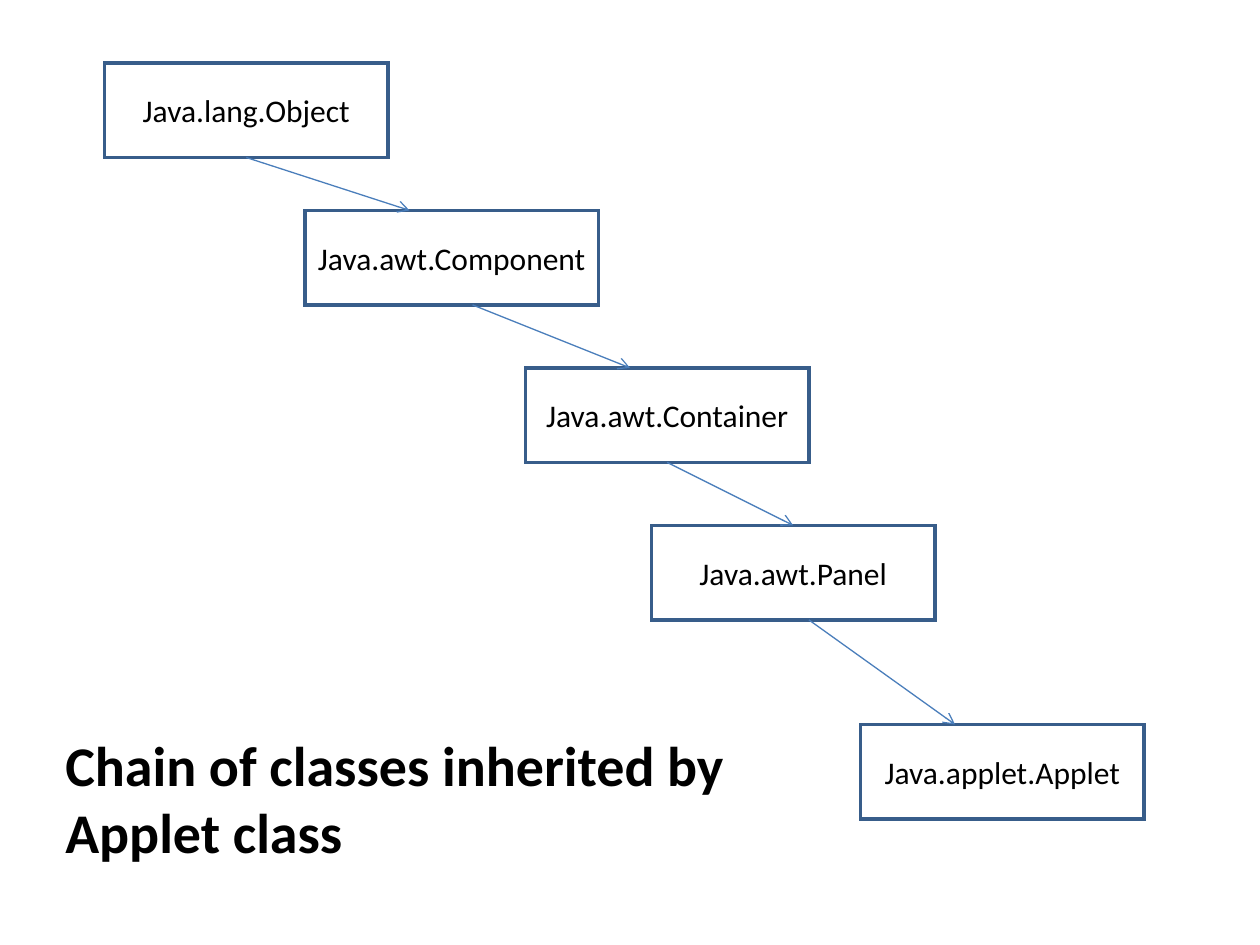
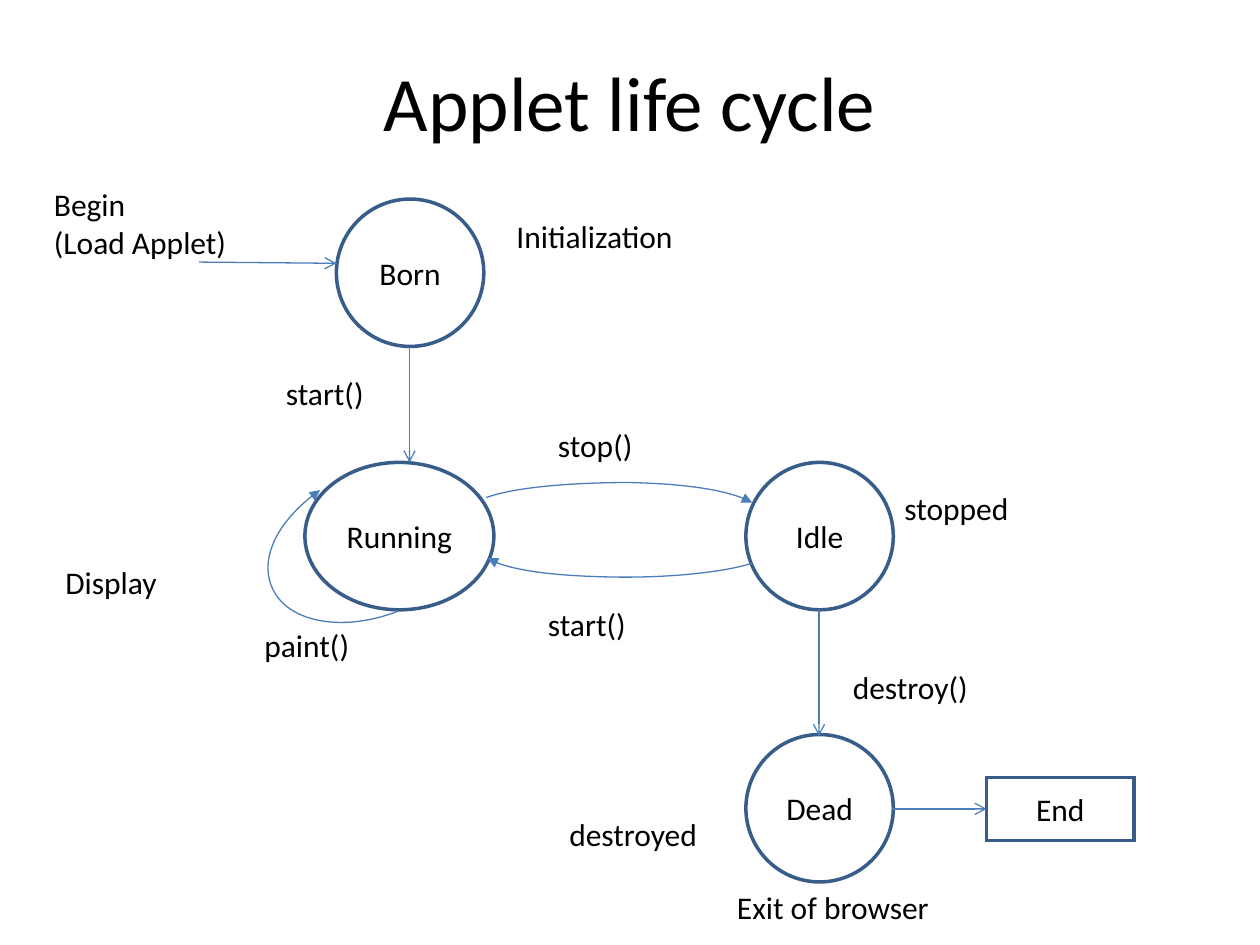
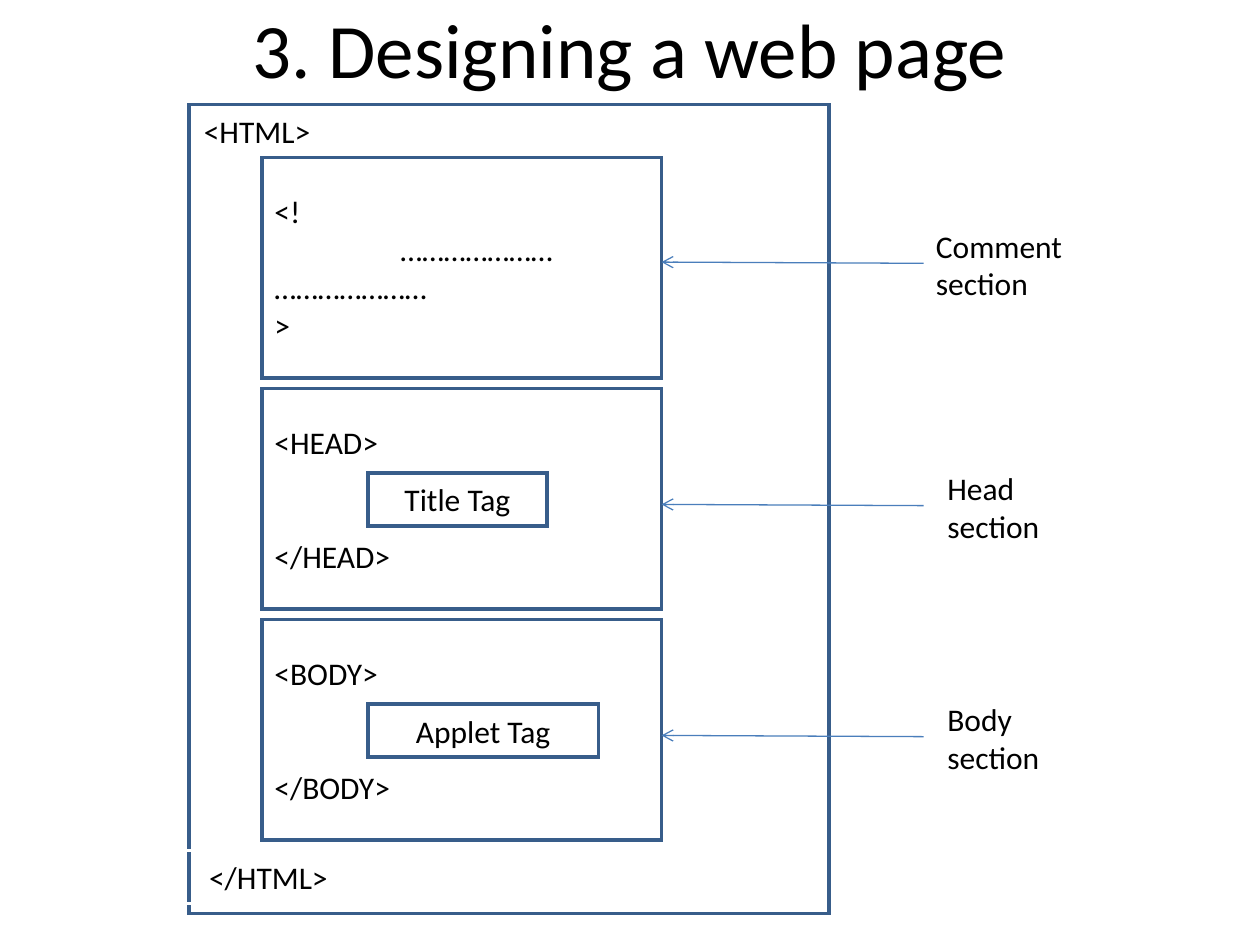
from lxml import etree
from pptx import Presentation
from pptx.dml.color import RGBColor
from pptx.enum.shapes import MSO_CONNECTOR, MSO_SHAPE
from pptx.enum.text import MSO_ANCHOR, PP_ALIGN
from pptx.oxml.ns import qn
from pptx.util import Inches, Pt

RECT, OVAL = MSO_SHAPE.RECTANGLE, MSO_SHAPE.OVAL
LINE = MSO_CONNECTOR.STRAIGHT
MIDDLE, TOP = MSO_ANCHOR.MIDDLE, MSO_ANCHOR.TOP
LEFT, CENTER = PP_ALIGN.LEFT, PP_ALIGN.CENTER
COLORS = {"text": "000000", "paper": "FFFFFF", "edge": "385D8A", "arrow": "4A7EBB"}
FONT = "Calibri"
BODY, HEADING, TITLE = 18, 32, 44
TOP_SIDE, LEFT_SIDE, BOTTOM_SIDE = 0, 1, 2


def color(name):
    return RGBColor.from_string(COLORS[name])


def write(shape, lines, size=BODY, align=LEFT, anchor=TOP, bold=False, gap=0):
    """Fill a shape with paragraphs; gap is the space in points before the last."""
    frame = shape.text_frame
    frame.word_wrap = True
    frame.vertical_anchor = anchor
    for i, line in enumerate(lines):
        para = frame.paragraphs[0] if i == 0 else frame.add_paragraph()
        para.text = line
        para.alignment = align
        if gap and i == len(lines) - 1:
            para.space_before = Pt(gap)
        if "\t" in line:
            tabs = etree.SubElement(para._p.get_or_add_pPr(), qn("a:tabLst"))
            for inch in (1, 2, 3):
                etree.SubElement(tabs, qn("a:tab"), pos=str(Inches(inch)), algn="l")
        font = para.font
        font.name, font.size, font.bold = FONT, Pt(size), bold
        font.color.rgb = color("text")


def label(slide, box, *lines, **style):
    write(slide.shapes.add_textbox(*map(Inches, box)), lines, **style)


def title(slide, top, text):
    label(slide, (0.5, top, 9, 1.25), text, size=TITLE, align=CENTER, anchor=MIDDLE)


def node(slide, box, *lines, kind=RECT, edge="edge", fill=None, align=CENTER, gap=0):
    shape = slide.shapes.add_shape(kind, *map(Inches, box))
    shape.shadow.inherit = False
    if fill:
        shape.fill.solid()
        shape.fill.fore_color.rgb = color(fill)
    else:
        shape.fill.background()
    shape.line.color.rgb = color(edge)
    shape.line.width = Pt(2)
    etree.SubElement(shape.line._get_or_add_ln(), qn("a:miter"), lim="800000")
    write(shape, lines, align=align, anchor=MIDDLE, gap=gap)
    return shape


def ink(shape, head):
    """Style an arrow's line and give its end an arrowhead."""
    shape.line.color.rgb = color("arrow")
    shape.line.width = Pt(0.75)
    etree.SubElement(shape.line._get_or_add_ln(), qn("a:tailEnd"), type=head)


def arrow(slide, start, end):
    link = slide.shapes.add_connector(LINE, *map(Inches, (*start, *end)))
    ink(link, "arrow")
    etree.SubElement(link._element.spPr, qn("a:effectLst"))
    return link


def curve(slide, x, y, points):
    """Draw cubic curves joined end to end, ending in an arrowhead."""
    points = [(Inches(x + dx), Inches(y + dy)) for dx, dy in points]
    pen = slide.shapes.build_freeform(*points[0])
    pen.add_line_segments(points[1:], close=False)
    shape = pen.convert_to_shape()
    # Each three line segments become one cubic curve
    lines = list(shape._element.iter(qn("a:lnTo")))
    for i in range(0, len(lines), 3):
        bend = etree.SubElement(lines[i].getparent(), qn("a:cubicBezTo"))
        for line in lines[i:i + 3]:
            bend.append(line[0])
            line.getparent().remove(line)
    shape.shadow.inherit = False
    shape.fill.background()
    ink(shape, "triangle")


def chain(slide, x, y):
    """Staircase of classes, each linked to the next."""
    steps = [("Object", "Java.lang.Object", 0, 0, 2.25),
             ("Component", "Java.awt.Component", 1.59, 1.17, 2.33),
             ("Container", "Java.awt.Container", 3.34, 2.42, 2.25),
             ("Panel", "Java.awt.Panel", 4.34, 3.67, 2.25),
             ("Applet", "Java.applet.Applet", 6, 5.25, 2.25)]
    nodes = {key: node(slide, (x + dx, y + dy, w, 0.75), text, fill="paper")
             for key, text, dx, dy, w in steps}
    # Arrows: start x, end x
    ends = [(1.13, 2.42), (2.92, 4.17), (4.46, 5.46), (5.59, 6.75)]
    links = [arrow(slide, (x + a, y + above[3] + 0.75), (x + b, y + below[3]))
             for (a, b), above, below in zip(ends, steps, steps[1:])]
    links[0].begin_connect(nodes["Object"], BOTTOM_SIDE)
    links[2].begin_connect(nodes["Container"], BOTTOM_SIDE)
    links[2].end_connect(nodes["Panel"], TOP_SIDE)


def cycle(slide, x, y):
    """States of an applet and the calls between them."""
    for name, dx, dy, w in [("Born", 2.34, 0.16, 1.17), ("Idle", 5.59, 2.25, 1.17),
                            ("Running", 2.09, 2.25, 1.5), ("Dead", 5.59, 4.41, 1.17)]:
        node(slide, (x + dx, y + dy, w, 1.17), name, kind=OVAL)
    end = node(slide, (x + 7.5, y + 4.75, 1.17, 0.5), "End")

    # Straight arrows
    for a, b, c, d in [(1.25, 0.66, 2.34, 0.67), (2.92, 1.33, 2.92, 2.25),
                       (6.17, 3.42, 6.17, 4.42)]:
        arrow(slide, (x + a, y + b), (x + c, y + d))
    arrow(slide, (x + 6.75, y + 5), (x + 7.5, y + 5)).end_connect(end, LEFT_SIDE)

    # Curved arrows: stop, start again, paint
    for points in [
        [(3.53, 2.53), (3.74, 2.45), (4.19, 2.41), (4.66, 2.41),
         (5.13, 2.42), (5.52, 2.49), (5.64, 2.57)],
        [(5.64, 3.05), (5.43, 3.12), (4.98, 3.17), (4.51, 3.16),
         (4.04, 3.15), (3.65, 3.09), (3.54, 3.01)],
        [(2.83, 3.43), (2.42, 3.59), (2.01, 3.53), (1.86, 3.3),
         (1.71, 3.07), (1.85, 2.72), (2.21, 2.47)],
    ]:
        curve(slide, x, y, points)

    # Captions
    for text, dx, dy, w in [
        ("stop()", 4, 1.91, 1.42), ("start()", 3.92, 3.33, 1.33),
        ("destroy()", 6.34, 3.83, 1.5), ("destroyed", 4.09, 5, 1.33),
        ("Exit of browser", 5.42, 5.58, 2.92), ("start()", 1.84, 1.5, 1),
        ("Initialization", 3.67, 0.25, 1.92), ("paint()", 1.67, 3.5, 1.5),
        ("Display", 0.09, 3, 1.5), ("stopped", 6.75, 2.41, 1.33),
    ]:
        label(slide, (x + dx, y + dy, w, 0.4), text)
    label(slide, (x, y, 1.67, 0.7), "Begin", "(Load Applet)")


def page(slide, x, y):
    """Outline of a web page with its three sections."""
    node(slide, (x, y, 5.08, 6.42))
    dots = "\t…………………\t…………………"
    gap = 2 * 1.22 * BODY  # room of two lines for the tag box
    # Lines, space, tag, tag width, arrow drop, caption, caption left and width
    parts = [(("<!", dots, ">"), 0, None, 0, 0.83, "Comment section", 5.83, 1.83),
             (("<HEAD>", "</HEAD>"), gap, "Title Tag", 1.42, 0.92, "Head section", 5.92, 1.25),
             (("<BODY>", "</BODY>"), gap, "Applet Tag", 1.83, 0.92, "Body section", 5.92, 1.42)]
    for i, (lines, space, tag, width, drop, text, left, wide) in enumerate(parts):
        top = y + 0.42 + 5.5 / 3 * i
        node(slide, (x + 0.58, top, 3.17, 1.75), *lines, align=LEFT, gap=space)
        if tag:
            node(slide, (x + 1.42, top + 0.67, width, 0.42), tag)
        arrow(slide, (x + 5.83, top + drop + 0.01), (x + 3.75, top + drop))
        label(slide, (x + left, top + drop - 0.33, wide, 0.7), text)
    label(slide, (x - 0.17, y, 1.42, 0.42), "<HTML>", align=CENTER, anchor=MIDDLE)
    node(slide, (x - 0.08, y + 5.92, 1.42, 0.42), "</HTML>", edge="paper")


def main():
    deck = Presentation()
    deck.slide_width, deck.slide_height = Inches(10), Inches(7.5)
    first, second, third = (deck.slides.add_slide(deck.slide_layouts[6]) for _ in range(3))

    chain(first, 0.83, 0.5)
    label(first, (0.42, 5.75, 5.67, 1.17), "Chain of classes inherited by Applet class",
          size=HEADING, bold=True)

    title(second, 0.17, "Applet life cycle")
    cycle(second, 0.33, 1.42)

    title(third, -0.25, "3. Designing a web page")
    page(third, 1.5, 0.83)

    deck.save("out.pptx")


if __name__ == "__main__":
    main()
